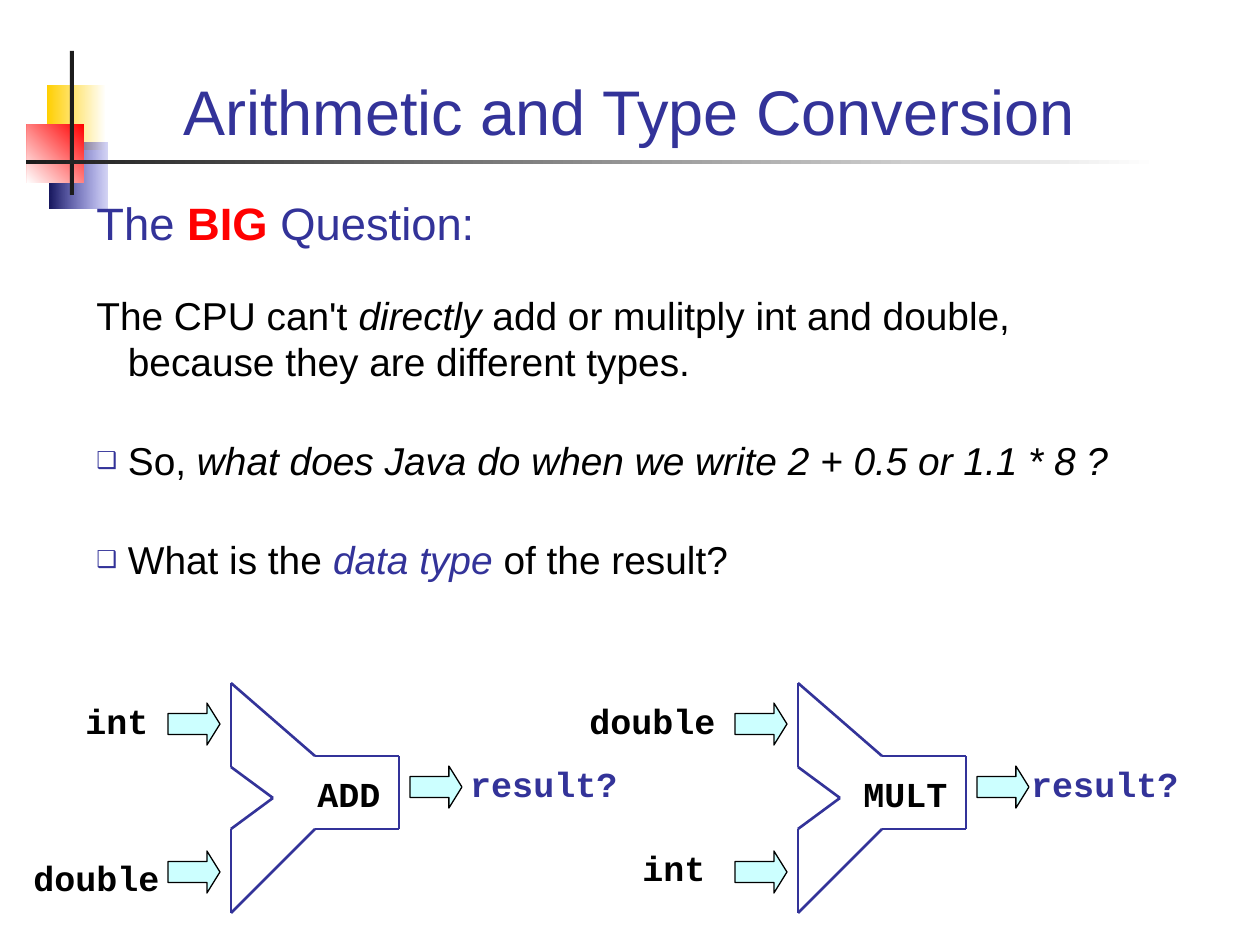
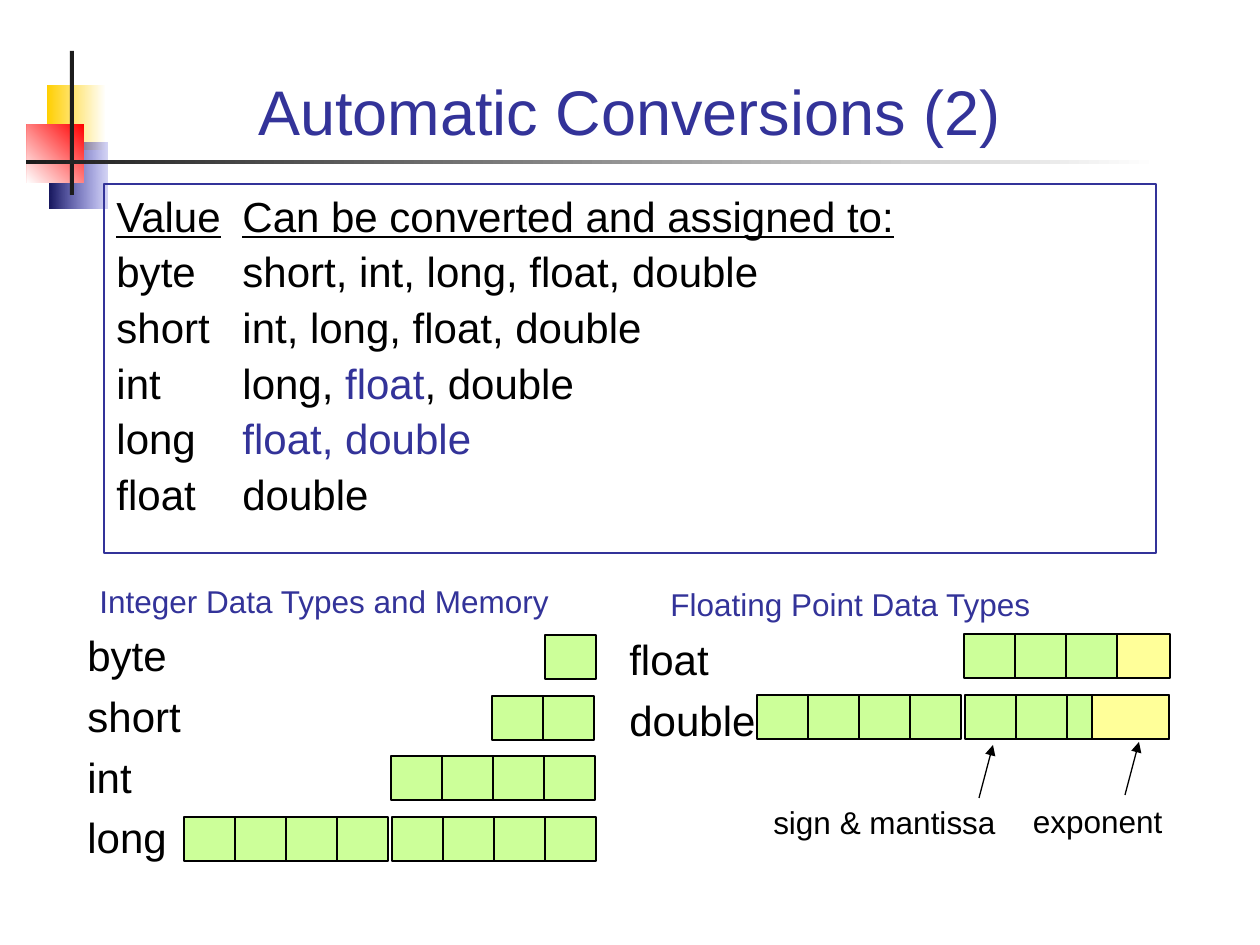
from lxml.etree import SubElement
from pptx import Presentation
from pptx.dml.color import RGBColor
from pptx.enum.shapes import MSO_CONNECTOR, MSO_SHAPE
from pptx.enum.text import MSO_ANCHOR, PP_ALIGN
from pptx.oxml.ns import qn
from pptx.util import Emu, Pt

PX_PER_INCH = 126
BLUE = RGBColor(0x33, 0x33, 0x99)
RED = RGBColor(0xFF, 0x00, 0x00)
BLACK = RGBColor(0x00, 0x00, 0x00)
WHITE = RGBColor(0xFF, 0xFF, 0xFF)
CHARCOAL = RGBColor(0x1C, 0x1C, 0x1C)
GOLD = RGBColor(0xFF, 0xCF, 0x01)
VIOLET = RGBColor(0x33, 0x33, 0xCC)
NAVY = RGBColor(0x17, 0x17, 0x5E)
CYAN = RGBColor(0xCC, 0xFF, 0xFF)
GREEN = RGBColor(0xCC, 0xFF, 0x99)
YELLOW = RGBColor(0xFF, 0xFF, 0x99)
SANS, MONO = "Arial", "Courier New"
LINE_FACTOR = 1.2  # line height of the body text, in font sizes


def px(length):
    return Emu(round(length * 914400 / PX_PER_INCH))


def box_px(*lengths):
    return [px(length) for length in lengths]


# Text

def add_run(paragraph, text, size, color=BLACK, font=SANS,
            bold=False, italic=False, underline=False):
    run = paragraph.add_run()
    run.text = text
    run.font.name, run.font.size = font, Pt(size)
    run.font.color.rgb = color
    run.font.bold, run.font.italic = bold, italic
    run.font.underline = underline


def add_text_box(slide, box, anchor=MSO_ANCHOR.TOP, wrap=True):
    text_box = slide.shapes.add_textbox(*box_px(*box))
    text_box.text_frame.word_wrap = wrap
    text_box.text_frame.vertical_anchor = anchor
    return text_box


def add_paragraphs(frame, paragraphs, gap=0):
    """Each paragraph is (size, runs, options); each run is (text, style)."""
    for index, (size, runs, options) in enumerate(paragraphs):
        paragraph = frame.add_paragraph() if index else frame.paragraphs[0]
        paragraph.line_spacing = Pt(round(size * LINE_FACTOR, 1))
        if index:
            paragraph.space_before = Pt(options.get("before", gap))
        properties = paragraph._p.get_or_add_pPr()
        if options.get("hanging"):
            properties.set("marL", str(Emu(228600)))
            properties.set("indent", str(Emu(-228600)))
        if options.get("bullet"):
            add_bullet(properties)
        if options.get("tab"):
            tabs = SubElement(properties, qn("a:tabLst"))
            SubElement(tabs, qn("a:tab"), pos=str(px(options["tab"])), algn="l")
        for text, style in runs:
            add_run(paragraph, text, size, **style)


def add_bullet(properties):
    color = SubElement(properties, qn("a:buClr"))
    SubElement(color, qn("a:srgbClr"), val=str(BLUE))
    SubElement(properties, qn("a:buSzPct"), val="60000")
    SubElement(properties, qn("a:buFont"), typeface=SANS)
    SubElement(properties, qn("a:buChar"), char="❑")


def add_label(slide, text, box, size, color=BLACK, font=SANS,
              align=PP_ALIGN.RIGHT, bold=False):
    label = add_text_box(slide, box, MSO_ANCHOR.MIDDLE, wrap=False)
    paragraph = label.text_frame.paragraphs[0]
    paragraph.alignment = align
    add_run(paragraph, text, size, color, font, bold)


def add_type_names(slide, names, box):
    rows = [(24, [(name, {})], {}) for name in names]
    add_paragraphs(add_text_box(slide, box).text_frame, rows, gap=6)


# Shapes and lines

def add_block(slide, box, fill, outline=BLACK, kind=MSO_SHAPE.RECTANGLE):
    block = slide.shapes.add_shape(kind, *box_px(*box))
    block.shadow.inherit = False
    block.fill.solid()
    block.fill.fore_color.rgb = fill
    if outline is None:
        block.line.fill.background()
    else:
        block.line.color.rgb = outline
        block.line.width = Pt(0.75)
    return block


def add_gradient_block(slide, box, start, end, angle=180, start_alpha=None):
    block = add_block(slide, box, start, outline=None)
    block.fill.gradient()
    block.fill.gradient_angle = angle
    for stop, color, position in zip(block.fill.gradient_stops,
                                     (start, end), (0, 1)):
        stop.color.rgb = color
        stop.position = position
    if start_alpha:
        first_color = next(block._element.spPr.iter(qn("a:srgbClr")))
        SubElement(first_color, qn("a:alpha"), val=str(start_alpha * 1000))


def add_line(slide, start, end, color, width, arrow=False):
    line = slide.shapes.add_connector(
        MSO_CONNECTOR.STRAIGHT, *box_px(*start, *end))
    line.line.color.rgb = color
    line.line.width = Pt(width)
    if arrow:
        SubElement(line.line._get_or_add_ln(), qn("a:tailEnd"), type="triangle")
    SubElement(line._element.spPr, qn("a:effectLst"))


def add_titled_slide(deck, title_text):
    slide = deck.slides.add_slide(deck.slide_layouts[5])
    # Corner ornament and rule
    add_gradient_block(slide, (47, 85, 59, 65), WHITE, GOLD)
    add_gradient_block(slide, (49, 143, 58, 66), VIOLET, NAVY, start_alpha=20)
    add_gradient_block(slide, (27, 124, 57, 59), RED, WHITE, angle=225)
    add_block(slide, (70, 51, 4, 144), CHARCOAL, outline=None)
    add_gradient_block(slide, (26, 160, 1133, 4), WHITE, CHARCOAL)
    # Title
    title = slide.shapes.title
    title.left, title.top, title.width, title.height = box_px(84, 34, 1091, 120)
    title.text_frame.vertical_anchor = MSO_ANCHOR.BOTTOM
    title.text_frame.word_wrap = True
    paragraph = title.text_frame.paragraphs[0]
    paragraph.alignment = PP_ALIGN.CENTER
    add_run(paragraph, title_text, 36, BLUE)
    return slide


# Slide 1: arithmetic units

UNIT_OUTLINE = [(0, 0), (84, 73), (168, 73), (168, 146), (84, 146), (0, 230),
                (0, 146), (42, 115), (0, 84), (0, 0)]
UNIT_TOP = 683
MONO_ADVANCE, LABEL_ROOM = 21, 45  # letter width; insets and slack


def add_arithmetic_unit(slide, left, labels):
    points = [(left + x, UNIT_TOP + y) for x, y in UNIT_OUTLINE]
    for start, end in zip(points, points[1:]):
        add_line(slide, start, end, BLUE, 1.5)
    for x, y in ((-63, 20), (-63, 168), (179, 83)):
        arrow = add_block(slide, (left + x, UNIT_TOP + y, 52, 42), CYAN,
                          kind=MSO_SHAPE.RIGHT_ARROW)
        arrow.adjustments[1] = 0.31
    for text, right, top, color in labels:
        width = MONO_ADVANCE * len(text) + LABEL_ROOM
        add_label(slide, text, (right - width, top, width, 55), 20, color,
                  MONO, bold=True)


def build_arithmetic_slide(deck):
    slide = add_titled_slide(deck, "Arithmetic and Type Conversion")
    italic, blue = {"italic": True}, {"color": BLUE}
    bullet = {"before": 30, "hanging": True, "bullet": True}
    question = add_text_box(slide, (84, 189, 1091, 466))
    add_paragraphs(question.text_frame, [
        (25.9, [("The ", blue), ("BIG", {"color": RED, "bold": True}),
                (" Question:", blue)], {"hanging": True}),
        (22.2, [("The CPU can't ", {}), ("directly", italic),
                (" add or mulitply int and double, because they are "
                 "different types.", {})], {"before": 24, "hanging": True}),
        (22.2, [("So, ", {}),
                ("what does Java do when we write 2 + 0.5 or 1.1 * 8 ?",
                 italic)], bullet),
        (22.2, [("What is the ", {}), ("data type", {**italic, **blue}),
                (" of the result?", {})], bullet),
    ])
    add_arithmetic_unit(slide, 231, [
        ("int", 161, 693, BLACK), ("double", 172, 850, BLACK),
        ("ADD", 393, 766, BLACK), ("result?", 630, 756, BLUE)])
    add_arithmetic_unit(slide, 798, [
        ("double", 728, 693, BLACK), ("int", 718, 840, BLACK),
        ("MULT", 960, 766, BLACK), ("result?", 1191, 756, BLUE)])


# Slide 2: conversions and memory layout

CELL_STEP, CELL_HEIGHT = 51, 44


def add_memory_cells(slide, left, top, count):
    for index in range(count):
        add_block(slide, (left + index * CELL_STEP, top,
                          CELL_STEP, CELL_HEIGHT), GREEN)


def build_conversions_slide(deck):
    slide = add_titled_slide(deck, "Automatic Conversions (2)")

    # Conversion list
    underlined, blue = {"underline": True}, {"color": BLUE}
    rows = [
        [("Value", underlined), ("\t", {}),
         ("Can be converted and assigned to:", underlined)],
        [("byte\tshort, int, long, float, double", {})],
        [("short\tint, long, float, double", {})],
        [("int\tlong, ", {}), ("float", blue), (", double", {})],
        [("long\t", {}), ("float, double", blue)],
        [("float\tdouble", {})],
    ]
    conversions = add_text_box(slide, (104, 184, 1052, 369))
    conversions.line.color.rgb = BLUE
    conversions.line.width = Pt(0.75)
    add_paragraphs(conversions.text_frame,
                   [(24, runs, {"tab": 126}) for runs in rows], gap=3)

    # Integer types
    add_label(slide, "Integer Data Types and Memory", (87, 576, 509, 50), 18,
              BLUE, align=PP_ALIGN.LEFT)
    add_type_names(slide, ["byte", "short", "int", "long"], (75, 623, 130, 244))
    for left, top, count in ((545, 635, 1), (492, 696, 2), (391, 756, 4),
                             (184, 817, 4), (392, 817, 4)):
        add_memory_cells(slide, left, top, count)

    # Floating point types
    add_label(slide, "Floating Point Data Types", (658, 579, 509, 50), 18,
              BLUE, align=PP_ALIGN.LEFT)
    add_type_names(slide, ["float", "double"], (617, 627, 152, 244))
    for left, top in ((964, 634), (757, 695), (965, 695)):
        add_memory_cells(slide, left, top, 4)
    add_block(slide, (1117, 634, 53, CELL_HEIGHT), YELLOW)
    add_block(slide, (1092, 695, 77, CELL_HEIGHT), YELLOW)

    # Parts of a double
    for text, box, start in (
            ("exponent", (1010, 796, 165, 50), (1125, 795)),
            ("sign & mantissa", (713, 797, 295, 50), (979, 798))):
        end = (start[0] + 14, start[1] - 53)
        add_line(slide, start, end, BLACK, 0.75, arrow=True)
        add_label(slide, text, box, 18)


def main():
    deck = Presentation()
    deck.slide_width, deck.slide_height = box_px(1260, 945)
    build_arithmetic_slide(deck)
    build_conversions_slide(deck)
    deck.save("out.pptx")


if __name__ == "__main__":
    main()
